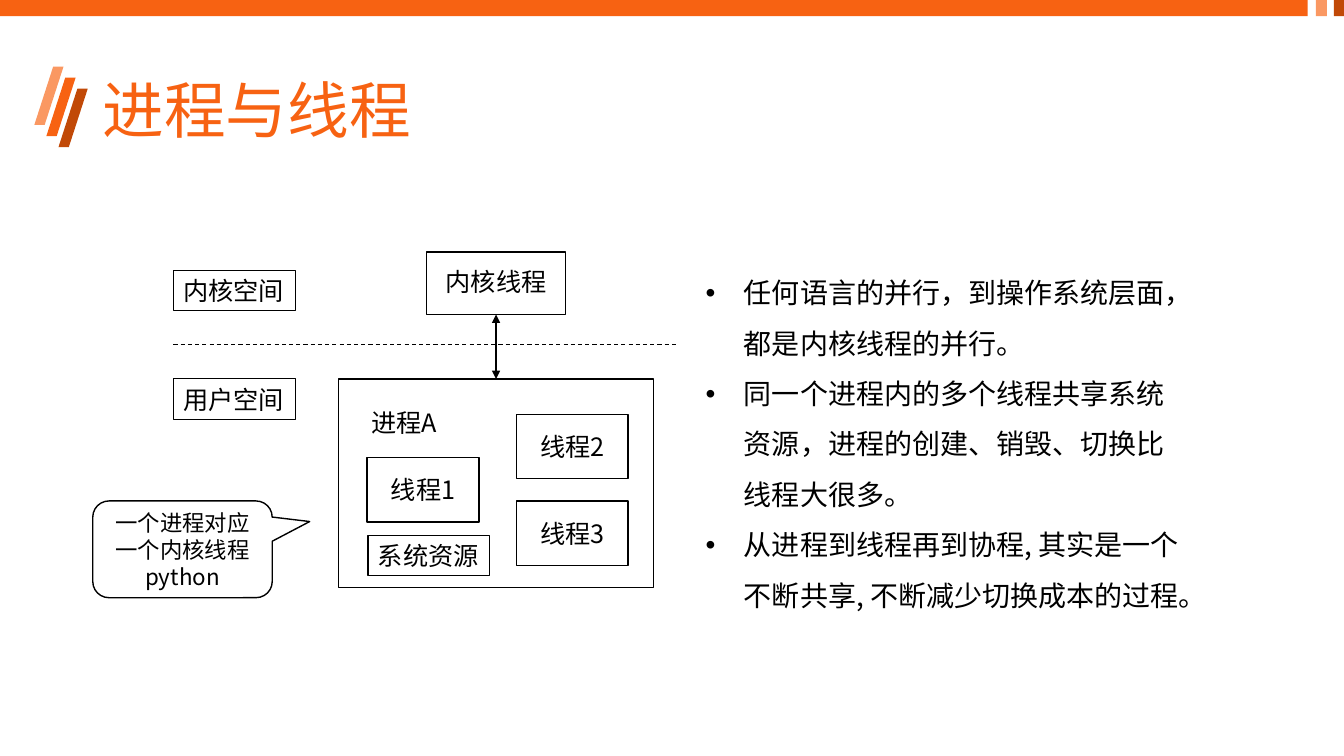
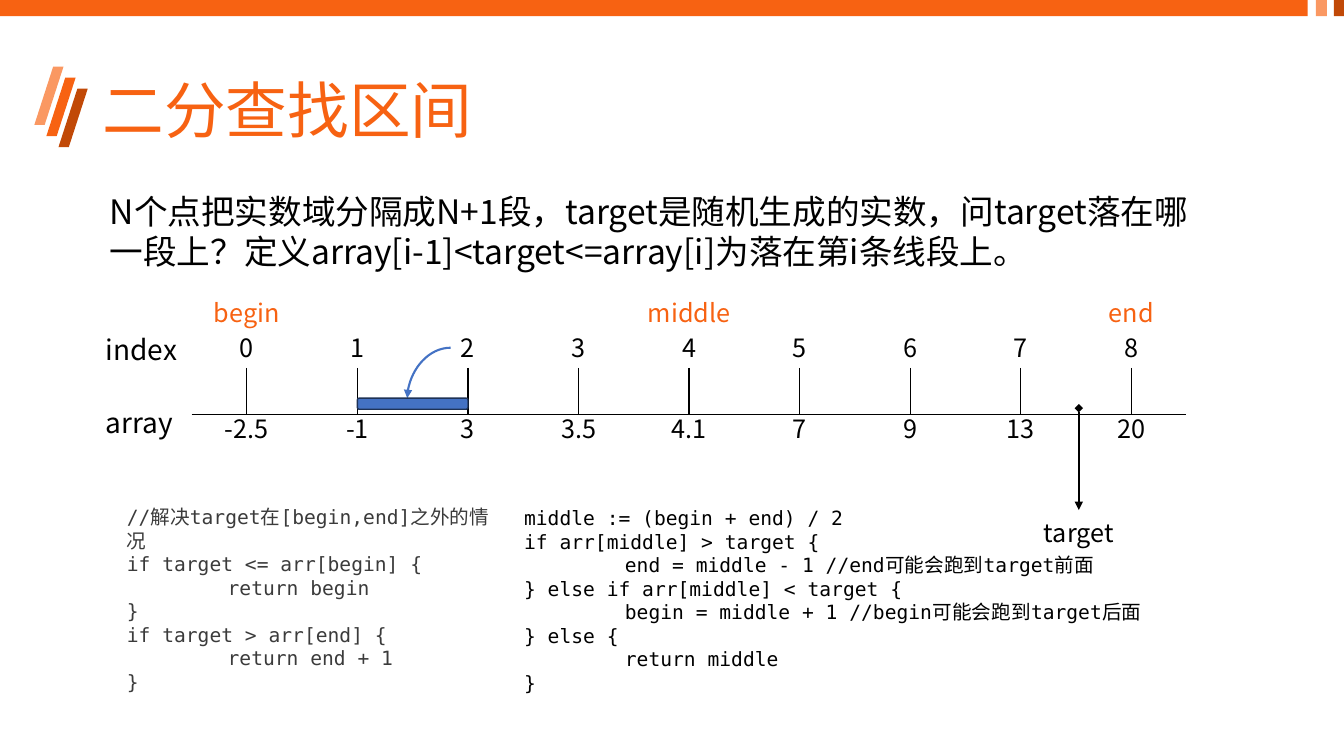
"""Build two slides: processes and threads, and binary search intervals."""
from lxml.etree import SubElement
from pptx import Presentation
from pptx.dml.color import RGBColor
from pptx.enum.dml import MSO_LINE
from pptx.enum.lang import MSO_LANGUAGE_ID as LANG
from pptx.enum.shapes import MSO_CONNECTOR as CXN, MSO_SHAPE as SHAPE
from pptx.enum.text import MSO_ANCHOR as ANCHOR, PP_ALIGN as ALIGN
from pptx.oxml import parse_xml
from pptx.oxml.ns import nsdecls, qn
from pptx.util import Inches, Pt

W, H = 13.33, 7.5
ORANGE, LIGHT, DARK = "F76212", "FA9862", "C14907"
BLACK, GREY, BLUE, NAVY = "000000", "3B3B3B", "4472C4", "1E3256"
SANS, MONO = "Noto Sans CJK SC", "DejaVu Sans Mono"

POINTS = [
    "任何语言的并行，到操作系统层面，都是内核线程的并行。",
    "同一个进程内的多个线程共享系统资源，进程的创建、销毁、切换比线程大很多。",
    "从进程到线程再到协程, 其实是一个不断共享, 不断减少切换成本的过程。",
]
THREADS = [("线程1", 3.64, 4.54), ("线程3", 5.12, 4.97), ("线程2", 5.12, 4.11)]
TAGS = [("用户空间", 1.72, 3.76), ("内核空间", 1.72, 2.68), ("系统资源", 3.65, 5.31)]

QUESTION = ("N个点把实数域分隔成N+1段，target是随机生成的实数，问target落在哪一段上？"
            "定义array[i-1]<target<=array[i]为落在第i条线段上。")
ARRAY = ["-2.5", "-1", "3", "3.5", "4.1", "7", "9", "13", "20"]
MARKERS = {0: "begin", 4: "middle", 8: "end"}
SEARCH_CODE = [
    "middle := (begin + end) / 2",
    "if arr[middle] > target {",
    "\tend = middle - 1 //end可能会跑到target前面",
    "} else if arr[middle] < target {",
    "\tbegin = middle + 1 //begin可能会跑到target后面",
    "} else {",
    "\treturn middle",
    "}",
]
EDGE_CODE = [
    "//解决target在[begin,end]之外的情况",
    "if target <= arr[begin] {",
    "\treturn begin",
    "}",
    "if target > arr[end] {",
    "\treturn end + 1",
    "}",
]


def rgb(color):
    return RGBColor.from_string(color)


def write(sp, lines, size=18, color=BLACK, font=SANS, align=ALIGN.LEFT,
          anchor=ANCHOR.TOP, spacing=None, bullet=False, wrap=True):
    tf = sp.text_frame
    tf.word_wrap, tf.vertical_anchor = wrap, anchor
    for i, line in enumerate([lines] if isinstance(lines, str) else lines):
        p = tf.add_paragraph() if i else tf.paragraphs[0]
        pPr = p._p.get_or_add_pPr()
        pPr.set("defTabSz", str(Inches(1)))
        if bullet:
            pPr.set("marL", str(Inches(0.38)))
            pPr.set("indent", str(-Inches(0.38)))
            SubElement(pPr, qn("a:buFont"), typeface="Arial")
            SubElement(pPr, qn("a:buChar"), char="•")
        p.alignment = align
        if spacing:
            p.line_spacing = spacing
        r = p.add_run()
        r.text = line
        r.font.size, r.font.name = Pt(size), font
        r.font.color.rgb = rgb(color)
        r.font.language_id = LANG.SIMPLIFIED_CHINESE
        SubElement(r._r.get_or_add_rPr(), qn("a:ea"), typeface=font)
    return sp


def label(s, lines, x, y, w, h, **fmt):
    return write(s.shapes.add_textbox(*map(Inches, (x, y, w, h))), lines, **fmt)


def shape(s, kind, x, y, w, h, fill=None, line=None, width=1, adj=()):
    sp = s.shapes.add_shape(kind, *map(Inches, (x, y, w, h)))
    sp.shadow.inherit = False
    for i, value in enumerate(adj):
        sp.adjustments[i] = value
    if fill:
        sp.fill.solid()
        sp.fill.fore_color.rgb = rgb(fill)
    else:
        sp.fill.background()
    if line:
        sp.line.color.rgb = rgb(line)
        sp.line.width = Pt(width)
    else:
        sp.line.fill.background()
    return sp


def connector(s, x1, y1, x2, y2, kind=CXN.STRAIGHT, color=BLACK, width=1,
              dash=None, head=None, tail=None):
    c = s.shapes.add_connector(kind, *map(Inches, (x1, y1, x2, y2)))
    c.line.color.rgb = rgb(color)
    c.line.width = Pt(width)
    if dash:
        c.line.dash_style = dash
    for tag, end in (("a:headEnd", head), ("a:tailEnd", tail)):
        if end:
            SubElement(c.line._get_or_add_ln(), qn(tag), type=end)
    SubElement(c._element.spPr, qn("a:effectLst"))
    return c


def new_slide(prs, title):
    s = prs.slides.add_slide(prs.slide_layouts[6])
    for step, color in ((0, ORANGE), (-1, LIGHT), (1, DARK)):
        shape(s, SHAPE.PARALLELOGRAM, 0.46 + 0.12 * step, 0.77 + 0.11 * step,
              0.29, 0.58, fill=color, adj=[0.646])
    for x, w, color in ((0, 12.97, ORANGE), (13.05, 0.11, LIGHT), (13.23, 0.11, DARK)):
        shape(s, SHAPE.RECTANGLE, x, 0, min(w, W - x), 0.16, fill=color)
    label(s, title, 0.92, 0.4, 11.5, 1.45, size=44, color=ORANGE,
          anchor=ANCHOR.MIDDLE, spacing=0.9)
    return s


def threads_slide(prs):
    s = new_slide(prs, "进程与线程")
    middle = dict(align=ALIGN.CENTER, anchor=ANCHOR.MIDDLE)
    label(s, POINTS, 6.9, 2.52, 5.01, 3.58, size=20, spacing=1.5, bullet=True)
    kernel = shape(s, SHAPE.RECTANGLE, 4.23, 2.5, 1.38, 0.62, line=BLACK)
    write(kernel, "内核线程", spacing=0.9, **middle)
    process = shape(s, SHAPE.RECTANGLE, 3.36, 3.76, 3.12, 2.07, line=BLACK)
    write(process, "进程A")
    process.text_frame.margin_left = Inches(0.32)
    process.text_frame.margin_top = Inches(0.28)
    for name, x, y in THREADS:
        write(shape(s, SHAPE.RECTANGLE, x, y, 1.11, 0.64, line=BLACK), name, **middle)
    connector(s, 1.72, 3.42, 6.73, 3.42, width=0.75, dash=MSO_LINE.DASH)
    for name, x, y in TAGS:
        tag = shape(s, SHAPE.RECTANGLE, x, y, 1.21, 0.4, line=BLACK, width=0.75)
        write(tag, name, wrap=False)
    link = connector(s, 4.92, 3.12, 4.92, 3.76, head="triangle", tail="triangle")
    link.begin_connect(kernel, 2)
    link.end_connect(process, 0)
    callout = shape(s, SHAPE.ROUNDED_RECTANGULAR_CALLOUT, 0.92, 4.97, 1.78, 0.96,
                    line=BLACK, adj=[0.709, -0.287, 0.167])
    write(callout, ["一个进程对应一个内核线程", "python"], size=16, **middle)


def number_line(s, x, y, w, h, ticks):
    pitch = w / ticks
    table = s.shapes.add_table(1, ticks + 1, *map(Inches, (x, y, w, h))).table
    table.first_row = table.horz_banding = False
    table.rows[0].height = Inches(h)
    for i, cell in enumerate(table.rows[0].cells):
        table.columns[i].width = Inches(pitch if 0 < i < ticks else pitch / 2)
        cell.margin_top = cell.margin_bottom = 0
        cell.fill.background()
        sides = {"L": i > 0, "R": i < ticks, "T": False, "B": True}
        for at, (side, drawn) in enumerate(sides.items()):
            paint = (f'<a:solidFill><a:srgbClr val="{BLACK}"/></a:solidFill>'
                     if drawn else "<a:noFill/>")
            border = f'<a:ln{side} w="{Pt(1)}" {nsdecls("a")}>{paint}</a:ln{side}>'
            cell._tc.get_or_add_tcPr().insert(at, parse_xml(border))
    return [x + pitch * (i + 0.5) for i in range(ticks)]


def search_slide(prs):
    s = new_slide(prs, "二分查找区间")
    ticks = number_line(s, 1.9, 3.65, 9.87, 0.46, len(ARRAY))
    pitch = ticks[1] - ticks[0]
    for i, (x, value) in enumerate(zip(ticks, ARRAY)):
        rows = [(value, 4.05, BLACK), (str(i), 3.25, BLACK)]
        if i in MARKERS:
            rows.append((MARKERS[i], 2.9, ORANGE))
        for words, y, color in rows:
            label(s, words, x - pitch / 2, y, pitch, 0.4, color=color, align=ALIGN.CENTER)
    label(s, "target", 10.2, 5.08, 1, 0.4, align=ALIGN.CENTER)
    connector(s, 10.7, 4.05, 10.7, 5.06, head="diamond", tail="triangle")
    label(s, QUESTION, 0.99, 1.84, 10.96, 0.91, size=24)
    for name, y in (("array", 3.97), ("index", 3.25)):
        label(s, name, 0.95, y, 1.1, 0.44, size=20)
    curve = connector(s, 4.47, 3.45, 4.04, 3.95, kind=CXN.CURVE, color=BLUE,
                      width=1.5, tail="triangle")
    curve._element.spPr.find(qn("a:prstGeom")).set("prst", "curvedConnector2")
    shape(s, SHAPE.ROUNDED_RECTANGLE, ticks[1], 3.95, pitch, 0.11, fill=BLUE, line=NAVY)
    label(s, SEARCH_CODE, 5.1, 4.97, 6.67, 1.99, size=14, font=MONO)
    label(s, EDGE_CODE, 1.16, 4.96, 3.88, 1.75, size=14, font=MONO, color=GREY)


def main():
    prs = Presentation()
    prs.slide_width, prs.slide_height = Inches(W), Inches(H)
    threads_slide(prs)
    search_slide(prs)
    prs.save("out.pptx")


if __name__ == "__main__":
    main()
